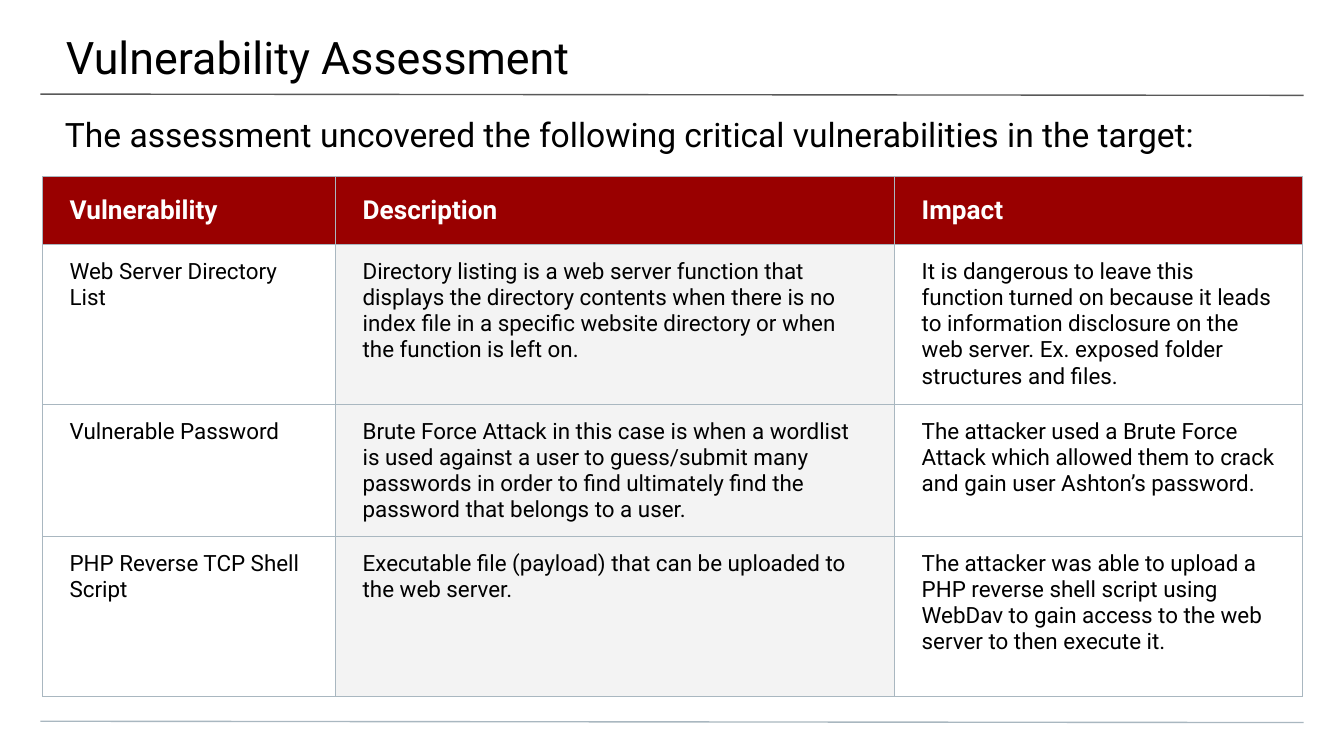
from lxml.etree import SubElement
from pptx import Presentation
from pptx.dml.color import RGBColor
from pptx.enum.shapes import MSO_CONNECTOR as Connector
from pptx.enum.text import MSO_ANCHOR as Anchor, MSO_AUTO_SIZE as AutoSize, PP_ALIGN as Align
from pptx.oxml.ns import qn
from pptx.util import Pt

FONT = "Roboto"
BLACK = RGBColor(0x00, 0x00, 0x00)
WHITE = RGBColor(0xFF, 0xFF, 0xFF)
RED = RGBColor(0x99, 0x00, 0x00)
PALE = RGBColor(0xF3, 0xF3, 0xF3)
DARK_GRAY = RGBColor(0x59, 0x59, 0x59)
BLUE_GRAY = RGBColor(0xA9, 0xB7, 0xC0)

COLUMN_WIDTHS = (157, 299.5, 218.5)
ROW_HEIGHTS = (36.5, 85.7, 70.7, 85.7)
ROWS = (
    ("Vulnerability", "Description", "Impact"),
    (
        "Web Server Directory List",
        "Directory listing is a web server function that displays the directory contents "
        "when there is no index file in a specific website directory or when the function is left on.",
        "It is dangerous to leave this function turned on because it leads to information "
        "disclosure on the web server. Ex. exposed folder structures and files.",
    ),
    (
        "Vulnerable Password",
        "Brute Force Attack in this case is when a wordlist is used against a user to guess/submit "
        "many passwords in order to find ultimately find the password that belongs to a user.",
        "The attacker used a Brute Force Attack which allowed them to crack and gain user "
        "Ashton’s password.",
    ),
    (
        "PHP Reverse TCP Shell Script",
        "Executable file (payload) that can be uploaded to the web server.",
        "The attacker was able to upload a PHP reverse shell script using WebDav to gain access "
        "to the web server to then execute it.",
    ),
)


def format_paragraph(paragraph, size, color, bold=False):
    paragraph.alignment = Align.LEFT
    paragraph.space_before = Pt(0)
    font = paragraph.font
    font.name, font.size, font.bold = FONT, Pt(size), bold
    font.color.rgb = color


def fill_placeholder(shape, text, box, insets, size):
    shape.left, shape.top, shape.width, shape.height = (Pt(value) for value in box)
    frame = shape.text_frame
    frame.text = text
    frame.word_wrap = True
    frame.auto_size = AutoSize.NONE
    frame.vertical_anchor = Anchor.TOP
    frame.margin_left, frame.margin_top, frame.margin_right, frame.margin_bottom = (
        Pt(value) for value in insets
    )
    format_paragraph(frame.paragraphs[0], size, BLACK)


def add_rule(slide, top, color):
    rule = slide.shapes.add_connector(
        Connector.STRAIGHT, Pt(21.6), Pt(top), Pt(698.4), Pt(top + 0.7)
    )
    rule.line.color.rgb = color
    rule.line.width = Pt(0.75)
    SubElement(rule._element.spPr, qn("a:effectLst"))


def add_borders(cell):
    properties = cell._tc.get_or_add_tcPr()
    for side in ("L", "R", "T", "B"):
        line = SubElement(properties, qn(f"a:ln{side}"), w=str(Pt(0.75)))
        SubElement(SubElement(line, qn("a:solidFill")), qn("a:srgbClr"), val=str(BLUE_GRAY))


def format_cell(cell, text, is_header, fill_color):
    cell.text = text
    cell.margin_left = cell.margin_right = Pt(14.4)
    cell.margin_top = cell.margin_bottom = Pt(7.2)
    cell.vertical_anchor = Anchor.MIDDLE if is_header else Anchor.TOP
    add_borders(cell)
    if fill_color is None:
        cell.fill.background()
    else:
        cell.fill.solid()
        cell.fill.fore_color.rgb = fill_color
    size, color = (14, WHITE) if is_header else (12, BLACK)
    format_paragraph(cell.text_frame.paragraphs[0], size, color, is_header)


def add_vulnerability_table(slide):
    table = slide.shapes.add_table(
        len(ROWS), len(COLUMN_WIDTHS), Pt(22.9), Pt(94.7),
        Pt(sum(COLUMN_WIDTHS)), Pt(sum(ROW_HEIGHTS)),
    ).table
    table.horz_banding = False
    for column, width in zip(table.columns, COLUMN_WIDTHS):
        column.width = Pt(width)
    for row, height in zip(table.rows, ROW_HEIGHTS):
        row.height = Pt(height)
    body_fills = (None, PALE, None)
    for row_index, texts in enumerate(ROWS):
        is_header = row_index == 0
        for column_index, text in enumerate(texts):
            fill_color = RED if is_header else body_fills[column_index]
            format_cell(table.cell(row_index, column_index), text, is_header, fill_color)


def main():
    presentation = Presentation()
    presentation.slide_width, presentation.slide_height = Pt(720), Pt(405)
    slide = presentation.slides.add_slide(presentation.slide_layouts[0])
    add_rule(slide, 50.4, DARK_GRAY)
    add_rule(slide, 386.4, BLUE_GRAY)
    fill_placeholder(
        slide.shapes.title, "Vulnerability Assessment",
        (-0.7, 0, 722, 41.8), (36, 16, 21.6, 7.2), 24,
    )
    fill_placeholder(
        slide.placeholders[1],
        "The assessment uncovered the following critical vulnerabilities in the target:",
        (-1.2, 53.3, 692.6, 28.8), (36, 8, 36, 0), 18,
    )
    add_vulnerability_table(slide)
    presentation.save("out.pptx")


if __name__ == "__main__":
    main()
